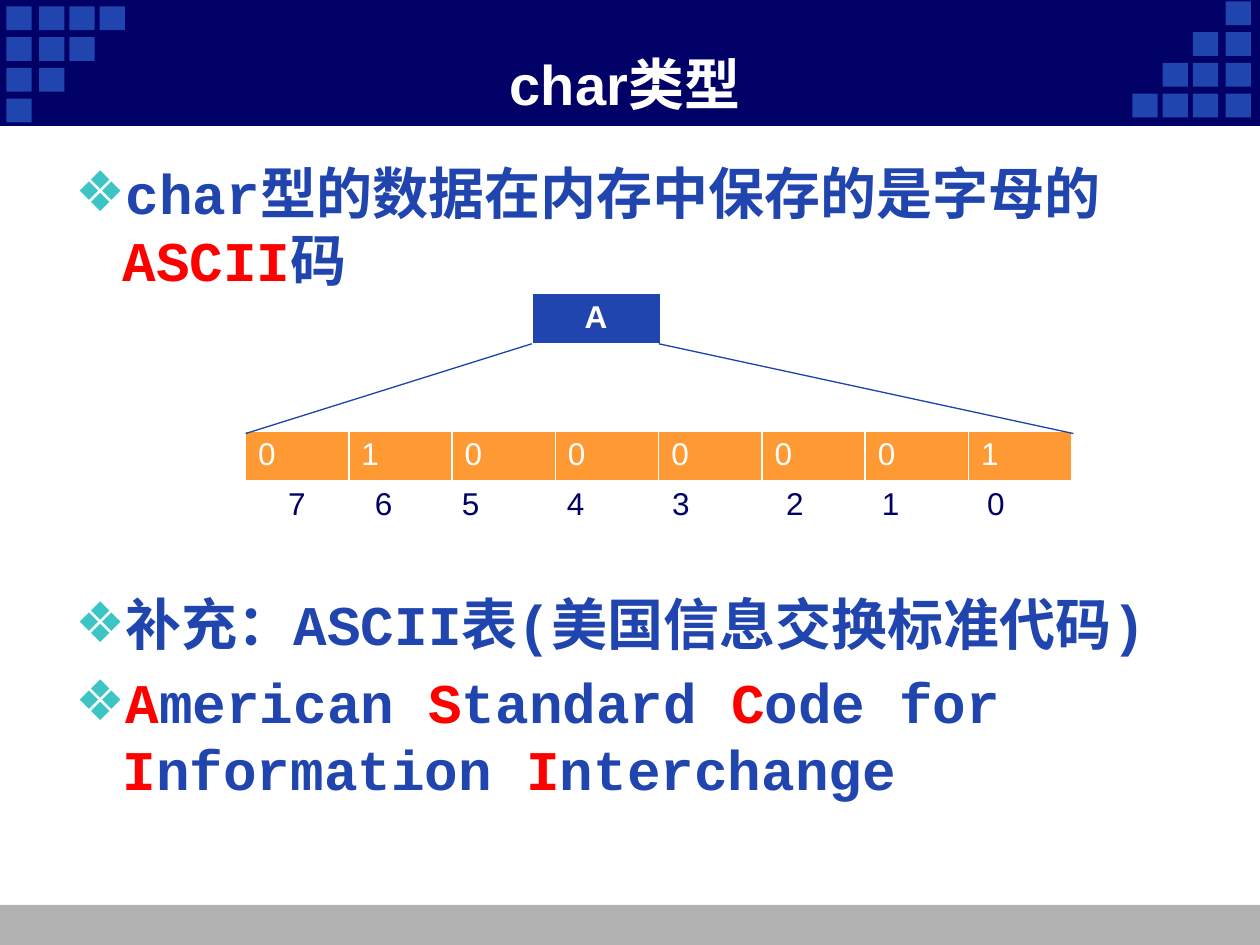
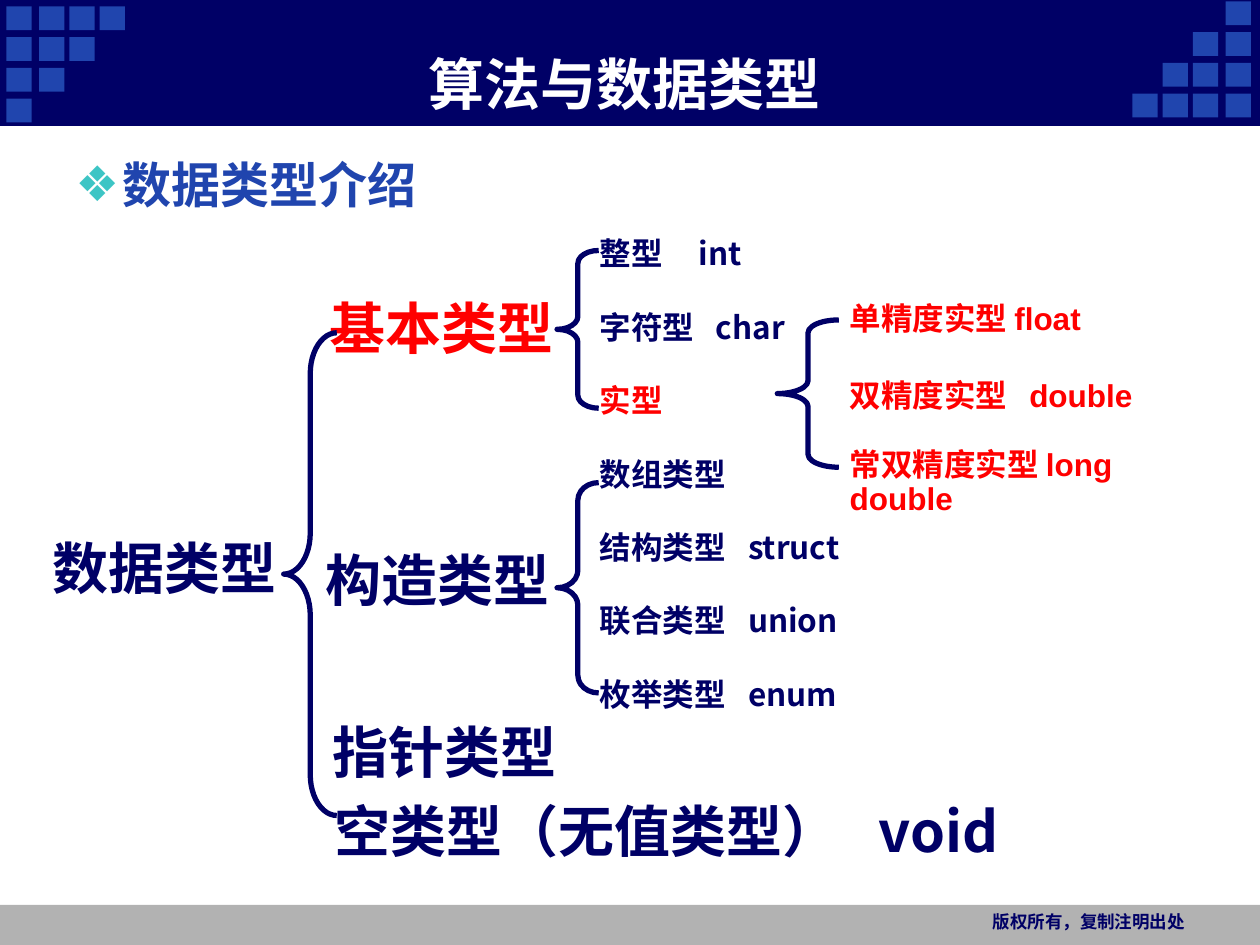
import pptx
import pptx.util
import pptx.dml.color
import pptx.enum.shapes
import pptx.enum.text
import pptx.oxml
import pptx.oxml.ns
import lxml.etree

Cm, Pt = pptx.util.Cm, pptx.util.Pt
SHAPE = pptx.enum.shapes.MSO_SHAPE
ALIGN = pptx.enum.text.PP_ALIGN
ANCHOR = pptx.enum.text.MSO_ANCHOR
qn = pptx.oxml.ns.qn

COLORS = {
    "navy": "000066", "blue": "2045AE", "line": "1C42AE", "grey": "B2B2B2",
    "white": "FFFFFF", "red": "FF0000", "teal": "3DC5C5", "orange": "FF9933",
}
CJK = "Noto Sans CJK SC"
FORMATS = {
    "title": {"name": "Arial", "size": Pt(32), "bold": True},
    "body": {"name": "Courier New", "size": Pt(32), "bold": True},
    "topic": {"name": "Courier New", "size": Pt(28), "bold": True},
    "note": {"name": "Courier New", "size": Pt(10), "bold": True},
    "branch": {"name": CJK, "size": Pt(32), "bold": True},
    "leaf": {"name": CJK, "size": Pt(18), "bold": True},
    "real": {"name": "Arial", "size": Pt(18), "bold": True},
    "bit": {"name": "Arial", "size": Pt(18), "bold": False},
}


def rgb(color):
    return pptx.dml.color.RGBColor.from_string(COLORS[color])


def box(x, y, w, h):
    return Cm(x), Cm(y), Cm(w), Cm(h)


def add_run(p, text, fmt, color):
    r = p.add_run()
    r.text = text
    for key, value in FORMATS[fmt].items():
        setattr(r.font, key, value)
    r.font.color.rgb = rgb(color)


def add_tabs(p, stops):
    tabs = lxml.etree.SubElement(p._p.get_or_add_pPr(), qn("a:tabLst"))
    for stop in stops:
        lxml.etree.SubElement(tabs, qn("a:tab"), pos=str(Cm(stop)), algn="l")


def add_bullet(p):
    pPr = p._p.get_or_add_pPr()
    pPr.set("marL", str(Cm(0.95)))
    pPr.set("indent", str(-Cm(0.95)))
    clr = lxml.etree.SubElement(pPr, qn("a:buClr"))
    lxml.etree.SubElement(clr, qn("a:srgbClr"), val=COLORS["teal"])
    lxml.etree.SubElement(pPr, qn("a:buFont"), typeface="Arial")
    lxml.etree.SubElement(pPr, qn("a:buChar"), char="❖")


def add_frame(s, place):
    tf = s.shapes.add_textbox(*box(*place)).text_frame
    tf.word_wrap = True
    return tf


def add_text(s, place, text, fmt, color, tabs=(), **layout):
    """One-paragraph text box; layout holds paragraph settings."""
    tf = add_frame(s, place)
    p = tf.paragraphs[0]
    for key, value in layout.items():
        setattr(p, key, value)
    if tabs:
        add_tabs(p, tabs)
    add_run(p, text, fmt, color)
    return tf


def add_bullets(s, place, items, fmt, line_spacing=None):
    """items: (space before, [(text, color), ...])"""
    tf = add_frame(s, place)
    for i, (space, runs) in enumerate(items):
        p = tf.add_paragraph() if i else tf.paragraphs[0]
        if line_spacing:
            p.line_spacing = line_spacing
        if i:
            p.space_before = space
        add_bullet(p)
        for text, color in runs:
            add_run(p, text, fmt, color)


def add_rect(s, place, color):
    sp = s.shapes.add_shape(SHAPE.RECTANGLE, *box(*place))
    sp.shadow.inherit = False
    sp.fill.solid()
    sp.fill.fore_color.rgb = rgb(color)
    sp.line.fill.background()


def add_brace(s, place, curve):
    sp = s.shapes.add_shape(SHAPE.LEFT_BRACE, *box(*place))
    sp.shadow.inherit = False
    sp.adjustments[0] = curve
    sp.fill.background()
    sp.line.color.rgb = rgb("navy")
    sp.line.width = Pt(3)


def add_line(s, x1, y1, x2, y2):
    c = s.shapes.add_connector(
        pptx.enum.shapes.MSO_CONNECTOR.STRAIGHT, Cm(x1), Cm(y1), Cm(x2), Cm(y2))
    c.line.color.rgb = rgb("line")
    c.line.width = Pt(0.75)
    lxml.etree.SubElement(c._element.spPr, qn("a:effectLst"))


def add_borders(cell):
    tcPr = cell._tc.get_or_add_tcPr()
    for i, (side, width) in enumerate((("L", 1), ("R", 1), ("T", 1), ("B", 3))):
        ln = lxml.etree.Element(qn("a:ln" + side), w=str(Pt(width)))
        fill = lxml.etree.SubElement(ln, qn("a:solidFill"))
        lxml.etree.SubElement(fill, qn("a:srgbClr"), val=COLORS["white"])
        tcPr.insert(i, ln)


def add_row(s, place, values, fill, fmt, align):
    table = s.shapes.add_table(1, len(values), *box(*place)).table
    for cell, value in zip(table.rows[0].cells, values):
        cell.fill.solid()
        cell.fill.fore_color.rgb = rgb(fill)
        add_borders(cell)
        p = cell.text_frame.paragraphs[0]
        p.alignment = align
        add_run(p, value, fmt, "white")


def add_slide(prs, title):
    """Blank slide with the bands, corner squares and title."""
    s = prs.slides.add_slide(prs.slide_layouts[6])
    add_rect(s, (0, 18.24, 25.4, 0.81), "grey")
    add_rect(s, (0, 0, 25.4, 2.54), "navy")
    columns = (0.13, 0.79, 1.4, 2.01)
    for row in range(4):
        for x in columns[:4 - row]:
            add_rect(s, (x, 0.13 + 0.62 * row, 0.51, 0.48), "blue")
        for x in columns[:row + 1]:
            add_rect(s, (24.84 - x, 0.03 + 0.62 * row, 0.51, 0.48), "blue")
    tf = add_text(s, (2.34, 0.89, 20.52, 1.57), title, "title", "white",
                  alignment=ALIGN.CENTER)
    tf.vertical_anchor = ANCHOR.MIDDLE
    return s


def build_char_slide(prs):
    s = add_slide(prs, "char类型")
    # Initials of ASCII in red
    words = (("A", "merican "), ("S", "tandard "), ("C", "ode for "),
             ("I", "nformation "), ("I", "nterchange"))
    name = [run for first, rest in words
            for run in ((first, "red"), (rest, "blue"))]
    add_bullets(s, (1.27, 3.08, 22.86, 14.5), [
        (0, [("char型的数据在内存中保存的是字母的", "blue"),
             ("ASCII", "red"), ("码", "blue")]),
        (Pt(169.5), [("补充：ASCII表(美国信息交换标准代码)", "blue")]),
        (Pt(6.4), name),
    ], "body", Pt(38.3))

    # Letter and its eight bits
    add_row(s, (10.72, 5.92, 2.59, 1.04), "A", "blue", "real", ALIGN.CENTER)
    add_row(s, (4.95, 8.69, 16.66, 1.04), "01000001", "orange", "bit", ALIGN.LEFT)
    add_line(s, 10.72, 6.93, 4.95, 8.74)
    add_line(s, 13.28, 6.93, 21.64, 8.74)
    add_text(s, (5.56, 9.63, 16.66, 1.02), "\t".join("76543210"), "bit", "navy",
             tabs=(1.75, 3.5, 5.62, 7.74, 10.04, 11.97, 14.09))


def build_types_slide(prs):
    s = add_slide(prs, "算法与数据类型")
    add_bullets(s, (1.27, 3, 22.86, 1.6), [(0, [("数据类型介绍", "blue")])], "topic")
    add_text(s, (19.3, 18.24, 4.83, 0.81), "版权所有，复制注明出处", "note", "navy",
             alignment=ALIGN.RIGHT)

    # Root and main branches
    for x, y, w, text, color, tabs in (
            (0.81, 10.64, 5.2, "数据类型", "navy", ()),
            (6.4, 5.79, 5.2, "基本类型", "red", ()),
            (6.32, 10.87, 5.2, "构造类型", "navy", ()),
            (6.45, 14.33, 5.2, "指针类型", "navy", ()),
            (6.5, 15.93, 14.5, "空类型（无值类型）\tvoid", "navy", (10.97,))):
        add_text(s, (x, y, w, 1.6), text, "branch", color, tabs)

    # Leaves at an equal pitch: text, colour, keyword offset
    leaves = (("整型\tint", "navy", 2), ("字符型\tchar", "navy", 2.34),
              ("实型", "red", 0), ("数组类型", "navy", 0),
              ("结构类型\tstruct", "navy", 2.99), ("联合类型\tunion", "navy", 2.99),
              ("枚举类型\tenum", "navy", 2.99))
    for i, (text, color, tab) in enumerate(leaves):
        add_text(s, (11.84, 4.6 + 1.48 * i, 6, 1.27), text, "leaf", color,
                 (tab,) if tab else ())

    # Floating-point kinds
    for y, text, tabs in ((5.99, "单精度实型 float", ()),
                          (7.54, "双精度实型\tdouble", (3.62,)),
                          (8.94, "常双精度实型 long double", ())):
        add_text(s, (16.88, y, 6.6, 0.94), text, "real", "red", tabs,
                 line_spacing=0.9)

    # Braces
    for place, curve in (((5.72, 6.71, 1.07, 9.73), 0.77),
                         ((11.23, 5.05, 0.84, 3.18), 0.31),
                         ((11.23, 9.73, 0.84, 4.24), 0.42),
                         ((15.67, 6.45, 1.24, 2.97), 0.21)):
        add_brace(s, place, curve)


def main():
    prs = pptx.Presentation()
    prs.slide_width, prs.slide_height = Cm(25.4), Cm(19.05)
    build_char_slide(prs)
    build_types_slide(prs)
    prs.save("out.pptx")


if __name__ == "__main__":
    main()
